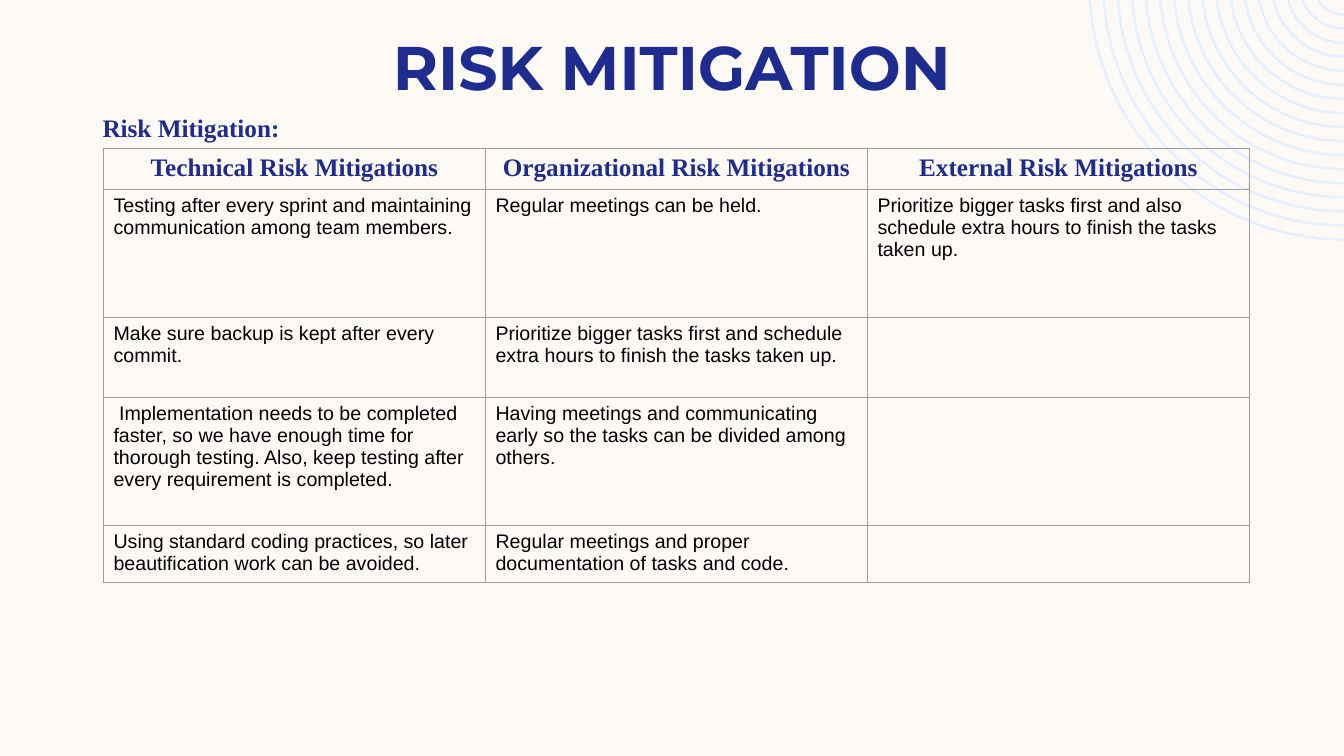
import math

from lxml import etree
from pptx import Presentation
from pptx.dml.color import RGBColor
from pptx.enum import text
from pptx.oxml import ns
from pptx.util import Pt

NAVY, BLACK, GRID, RING, CREAM = "1F2C8F", "000000", "9E9E9E", "E6F0FE", "FDFAF6"
HEADERS = ["Technical Risk Mitigations", "Organizational Risk Mitigations",
           "External Risk Mitigations"]
MITIGATIONS = [
    ["Testing after every sprint and maintaining communication among team members.",
     "Regular meetings can be held.",
     "Prioritize bigger tasks first and also schedule extra hours to finish the tasks taken up."],
    ["Make sure backup is kept after every commit.",
     "Prioritize bigger tasks first and schedule extra hours to finish the tasks taken up.",
     ""],
    ["Implementation needs to be completed faster, so we have enough time for "
     "thorough testing. Also, keep testing after every requirement is completed.",
     "Having meetings and communicating early so the tasks can be divided among others.",
     ""],
    ["Using standard coding practices, so later beautification work can be avoided.",
     "Regular meetings and proper documentation of tasks and code.",
     ""],
]
ROW_HEIGHTS = [29.3, 91.4, 57.1, 91.4, 40.7]
INDENTED_CELL = (3, 0)


def color(value):
    return RGBColor.from_string(value)


def style(p, name, size, value, bold=False, align=text.PP_ALIGN.LEFT):
    p.alignment = align
    p.font.name, p.font.size, p.font.bold = name, Pt(size), bold
    p.font.color.rgb = color(value)


def arc(center_x, center_y, radius):
    steps = math.ceil(math.sqrt(radius))
    start = math.asin(-center_y / radius)
    angles = [start + (math.pi / 2 - start) * i / steps for i in range(steps + 1)]
    return [(center_x - radius * math.cos(a), center_y + radius * math.sin(a))
            for a in angles]


def add_rings(slide, right, center_y, inner, outer, count=17):
    step = (outer - inner) / (count - 1)
    arcs = [arc(right, center_y, inner + i * step) for i in range(count)]
    builder = slide.shapes.build_freeform(*arcs[0][0], scale=Pt(1) / 100)
    builder = slide.shapes.build_freeform(*[v * 100 for v in arcs[0][0]], scale=Pt(1) / 100)
    for i, points in enumerate(arcs):
        points = [(x * 100, y * 100) for x, y in points]
        if i:
            builder.move_to(*points[0])
        builder.add_line_segments(points[1:], close=False)
    sp = builder.convert_to_shape()
    sp.shadow.inherit = False
    sp.fill.background()
    sp.line.color.rgb = color(RING)
    sp.line.width = Pt(1.8)
    slide.shapes[0].element.addprevious(sp.element)


def add_title(slide, left, top, width, height):
    title = slide.shapes.title
    title.left, title.top, title.width, title.height = map(Pt, (left, top, width, height))
    tf = title.text_frame
    tf.text = "RISK MITIGATION"
    tf.auto_size = text.MSO_AUTO_SIZE.NONE
    tf.vertical_anchor = text.MSO_ANCHOR.MIDDLE
    style(tf.paragraphs[0], "Montserrat", 44, NAVY, True, text.PP_ALIGN.CENTER)


def add_subtitle(slide, left, top, width, height):
    tf = slide.shapes.add_textbox(*map(Pt, (left, top, width, height))).text_frame
    tf.word_wrap = True
    tf.margin_left = Pt(13.2)
    tf.text = "Risk Mitigation:"
    style(tf.paragraphs[0], "Times New Roman", 18, NAVY, True)


def set_borders(cell):
    tc_pr = cell._tc.get_or_add_tcPr()
    for side in ("a:lnL", "a:lnR", "a:lnT", "a:lnB"):
        line = etree.SubElement(tc_pr, ns.qn(side), w=str(Pt(0.75)))
        fill = etree.SubElement(line, ns.qn("a:solidFill"))
        etree.SubElement(fill, ns.qn("a:srgbClr"), val=GRID)


def add_mitigation_table(slide, left, top, width):
    rows = [HEADERS] + MITIGATIONS
    frame = slide.shapes.add_table(len(rows), len(HEADERS), Pt(left), Pt(top),
                                   Pt(width), Pt(sum(ROW_HEIGHTS)))
    table = frame.table
    table.first_row = table.horz_banding = False
    for row, height in zip(table.rows, ROW_HEIGHTS):
        row.height = Pt(height)
    for r, values in enumerate(rows):
        for c, value in enumerate(values):
            cell = table.cell(r, c)
            set_borders(cell)
            cell.fill.background()
            cell.text = value
            p = cell.text_frame.paragraphs[0]
            if r == 0:
                style(p, "Times New Roman", 18, NAVY, True, text.PP_ALIGN.CENTER)
            else:
                style(p, "Arial", 14, BLACK)
            if (r, c) == INDENTED_CELL:
                p._p.get_or_add_pPr().set("indent", str(Pt(4)))


def main():
    prs = Presentation()
    prs.slide_width, prs.slide_height = Pt(960), Pt(540)
    slide = prs.slides.add_slide(prs.slide_layouts[5])
    slide.background.fill.solid()
    slide.background.fill.fore_color.rgb = color(CREAM)
    add_rings(slide, right=960, center_y=-10.8, inner=21.4, outer=182)
    add_title(slide, 60, 16.5, 840, 60.5)
    add_subtitle(slide, 60, 77, 805, 29)
    add_mitigation_table(slide, 73.9, 106.1, 818.6)
    prs.save("out.pptx")


if __name__ == "__main__":
    main()
